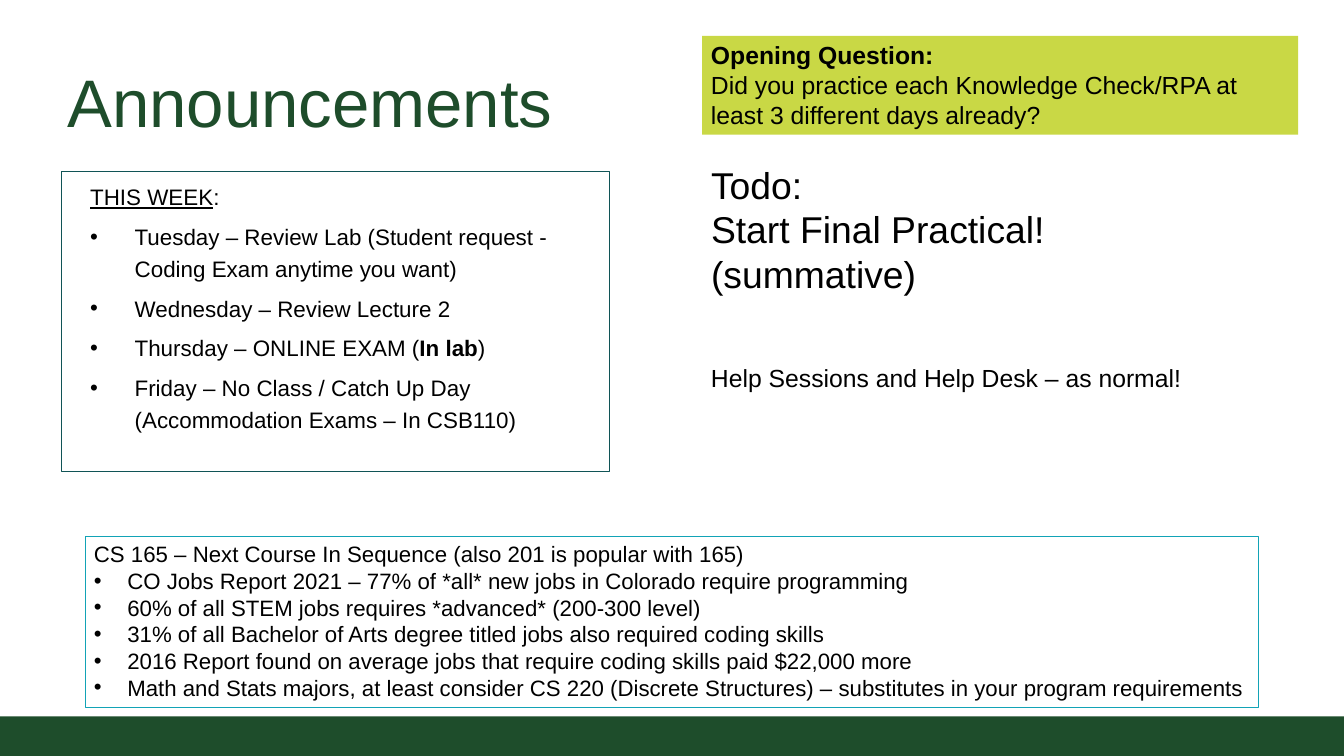
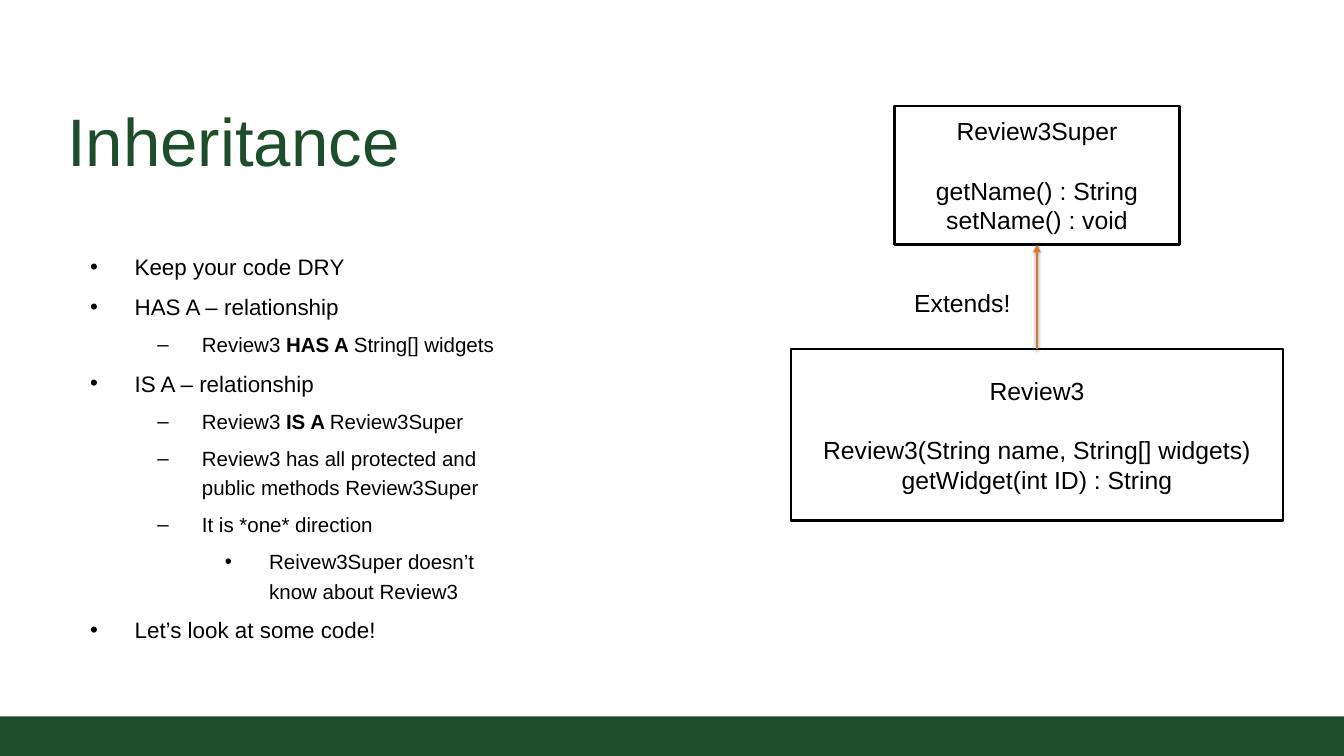
from dataclasses import dataclass

from lxml import etree
from pptx import Presentation
from pptx.dml.color import RGBColor
from pptx.enum.shapes import MSO_CONNECTOR, MSO_SHAPE
from pptx.enum.text import MSO_ANCHOR, MSO_AUTO_SIZE, PP_ALIGN
from pptx.oxml import parse_xml
from pptx.oxml.ns import nsdecls, qn
from pptx.util import Pt

RECTANGLE = MSO_SHAPE.RECTANGLE
STRAIGHT = MSO_CONNECTOR.STRAIGHT
TOP, MIDDLE, BOTTOM = MSO_ANCHOR.TOP, MSO_ANCHOR.MIDDLE, MSO_ANCHOR.BOTTOM
LEFT, CENTER = PP_ALIGN.LEFT, PP_ALIGN.CENTER
NO_AUTOFIT = MSO_AUTO_SIZE.NONE
TOP_SIDE, BOTTOM_SIDE = 0, 2
TITLE_ONLY = 5


@dataclass(frozen=True)
class Theme:
    font: str = "Arial"
    green: str = "1E4D2B"
    lime: str = "C9D845"
    pine: str = "105456"
    teal: str = "12A3B6"
    orange: str = "D9782C"
    black: str = "000000"
    white: str = "FFFFFF"
    title: float = 54.4
    todo: float = 30.2
    text: float = 20
    facts: float = 18
    bullet: float = 18.1
    sub_bullet: float = 16.6


THEME = Theme()
WIDTH, HEIGHT, BAND_HEIGHT = 1088, 612, 32
MARGIN = 49.5
RIGHT_COLUMN = 568.5
TEXT_BOX_INSETS = (7.2, 3.6)
BODY_INSETS = (5, 5)
CLASS_INSETS = (21.6, 14.4)
CLASS_CENTER = 839.5
OUTLINE = 2
# Bullet mark, indent and type size for each outline level
LEVELS = (
    ("•", 54.5, THEME.bullet),
    ("–", 109, THEME.sub_bullet),
    ("•", 163.5, THEME.sub_bullet),
)


def color(code):
    return RGBColor.from_string(code)


def place(shape, left, top, width, height):
    shape.left, shape.top = Pt(left), Pt(top)
    shape.width, shape.height = Pt(width), Pt(height)


def set_frame(shape, insets=TEXT_BOX_INSETS, anchor=TOP):
    frame = shape.text_frame
    frame.word_wrap = True
    frame.auto_size = NO_AUTOFIT
    frame.vertical_anchor = anchor
    frame.margin_left = frame.margin_right = Pt(insets[0])
    frame.margin_top = frame.margin_bottom = Pt(insets[1])
    return frame


def add_bullet(para, mark, indent, hanging):
    properties = para._p.get_or_add_pPr()
    properties.set("marL", str(Pt(indent)))
    properties.set("indent", str(-Pt(hanging)))
    etree.SubElement(properties, qn("a:buFont")).set("typeface", THEME.font)
    etree.SubElement(properties, qn("a:buChar")).set("char", mark)


def write(frame, *spans, size=THEME.text, ink=THEME.black, align=LEFT,
          before=0, spacing=None, indent=0, bullet=None, hanging=0, level=0):
    """Add a paragraph; a span is text, or a pair of text and font attribute."""
    para = frame.paragraphs[0]
    first = not para.runs
    if not first:
        para = frame.add_paragraph()
    para.level = level
    para.alignment = align
    if bullet:
        add_bullet(para, bullet, indent, hanging)
    elif indent:
        para._p.get_or_add_pPr().set("marL", str(Pt(indent)))
    para.space_before = Pt(0 if first else before)
    if spacing:
        para.line_spacing = spacing
    for span in spans:
        text, emphasis = (span, None) if isinstance(span, str) else span
        run = para.add_run()
        run.text = text
        run.font.name = THEME.font
        run.font.size = Pt(size)
        run.font.color.rgb = color(ink)
        if emphasis:
            setattr(run.font, emphasis, True)


def write_item(frame, *spans, level=0):
    mark, indent, size = LEVELS[level]
    write(frame, *spans, size=size, before=6, spacing=1.2, indent=indent,
          bullet=mark, hanging=36, level=level)


def add_box(page, at, fill=None, line=None, line_width=0.75):
    box = page.shapes.add_shape(RECTANGLE, *map(Pt, at))
    box.shadow.inherit = False
    if fill:
        box.fill.solid()
        box.fill.fore_color.rgb = color(fill)
    else:
        box.fill.background()
    if line:
        box.line.color.rgb = color(line)
        box.line.width = Pt(line_width)
    else:
        box.line.fill.background()
    return box


def add_text(page, at, *lines, size=THEME.text):
    frame = set_frame(page.shapes.add_textbox(*map(Pt, at)))
    for line in lines:
        write(frame, line, size=size)


def add_page(deck, title, top, width, height):
    page = deck.slides.add_slide(deck.slide_layouts[TITLE_ONLY])
    place(page.shapes.title, MARGIN, top, width, height)
    frame = set_frame(page.shapes.title, BODY_INSETS, BOTTOM)
    write(frame, title, size=THEME.title, ink=THEME.green)
    return page


def move_to_layout(shape, layout):
    layout.shapes.element.insert(2, shape.element)


def add_class_box(page, top, width, height, name, *members):
    left = CLASS_CENTER - width / 2
    box = add_box(page, (left, top, width, height), THEME.white,
                  THEME.black, OUTLINE)
    frame = set_frame(box, CLASS_INSETS, MIDDLE)
    write(frame, name, align=CENTER)
    for index, member in enumerate(members):
        write(frame, member, align=CENTER, before=0 if index else 24)
    return box


def add_extends_arrow(page, child, parent):
    arrow = page.shapes.add_connector(STRAIGHT, 0, 0, 0, 0)
    arrow.begin_connect(child, TOP_SIDE)
    arrow.end_connect(parent, BOTTOM_SIDE)
    arrow.line.color.rgb = color(THEME.orange)
    arrow.line.width = Pt(OUTLINE)
    line = arrow.line._get_or_add_ln()
    etree.SubElement(line, qn("a:tailEnd")).set("type", "triangle")
    arrow._element.spPr.append(parse_xml(
        f'<a:effectLst {nsdecls("a")}>'
        f'<a:outerShdw blurRad="{Pt(3.1)}" dist="{Pt(1.6)}" dir="5400000">'
        f'<a:srgbClr val="{THEME.black}"><a:alpha val="38000"/></a:srgbClr>'
        '</a:outerShdw></a:effectLst>'))


def build_announcements(deck):
    page = add_page(deck, "Announcements", 47.5, 444, 72)
    band = add_box(page, (0, HEIGHT - BAND_HEIGHT, WIDTH, BAND_HEIGHT),
                   THEME.green)
    move_to_layout(band, page.slide_layout)

    add_text(page, (RIGHT_COLUMN, 127.5, 306.5, 117), "Todo:",
             "Start Final Practical! (summative)", size=THEME.todo)

    question = add_box(page, (RIGHT_COLUMN, 29, 482.5, 80), THEME.lime)
    frame = set_frame(question)
    write(frame, ("Opening Question:", "bold"))
    write(frame, "Did you practice each Knowledge Check/RPA at least 3 "
                 "different days already?")

    week = add_box(page, (MARGIN, 139, 444, 243), line=THEME.pine)
    frame = set_frame(week, BODY_INSETS)
    write(frame, ("THIS WEEK", "underline"), ":", size=THEME.bullet,
          spacing=1.2, indent=18.5)
    for spans in (
        ("Tuesday – Review Lab (Student request - Coding Exam anytime "
         "you want)",),
        ("Wednesday – Review Lecture 2",),
        ("Thursday – ONLINE EXAM (", ("In lab", "bold"), ")"),
        ("Friday – No Class / Catch Up Day (Accommodation Exams – "
         "In CSB110)",),
    ):
        write_item(frame, *spans)

    add_text(page, (RIGHT_COLUMN, 290, 512, 32),
             "Help Sessions and Help Desk – as normal!")

    courses = add_box(page, (69, 434, 950, 138.5), line=THEME.teal)
    frame = set_frame(courses)
    write(frame, "CS 165 – Next Course In Sequence (also 201 is popular "
                 "with 165)", size=THEME.facts)
    for fact in (
        "CO Jobs Report 2021 – 77% of *all* new jobs in Colorado require "
        "programming",
        "60% of all STEM jobs requires *advanced* (200-300 level)",
        "31% of all Bachelor of Arts degree titled jobs also required "
        "coding skills",
        "2016 Report found on average jobs that require coding skills paid "
        "$22,000 more",
        "Math and Stats majors, at least consider CS 220 (Discrete "
        "Structures) – substitutes in your program requirements",
    ):
        write(frame, fact, size=THEME.facts, indent=27, bullet="•",
              hanging=27)


def build_inheritance(deck):
    page = add_page(deck, "Inheritance", 71, 989, 80)

    body = page.shapes.add_textbox(Pt(MARGIN), Pt(196), Pt(376), Pt(302))
    frame = set_frame(body, BODY_INSETS)
    for level, *spans in (
        (0, "Keep your code DRY"),
        (0, "HAS A – relationship"),
        (1, "Review3 ", ("HAS A ", "bold"), "String[] widgets"),
        (0, "IS A – relationship"),
        (1, "Review3 ", ("IS A ", "bold"), "Review3Super"),
        (1, "Review3 has all protected and public methods Review3Super"),
        (1, "It is *one* direction"),
        (2, "Reivew3Super doesn’t know about Review3"),
        (0, "Let’s look at some code!"),
    ):
        write_item(frame, *spans, level=level)

    parent = add_class_box(page, 86, 231, 112, "Review3Super",
                           "getName() : String", "setName() : void")
    child = add_class_box(page, 282.5, 398, 139, "Review3",
                          "Review3(String name, String[] widgets)",
                          "getWidget(int ID) : String")
    add_extends_arrow(page, child, parent)
    add_text(page, (733, 229.5, 136, 32), "Extends!")


def main():
    deck = Presentation()
    deck.slide_width, deck.slide_height = Pt(WIDTH), Pt(HEIGHT)
    build_announcements(deck)
    build_inheritance(deck)
    deck.save("out.pptx")


if __name__ == "__main__":
    main()
